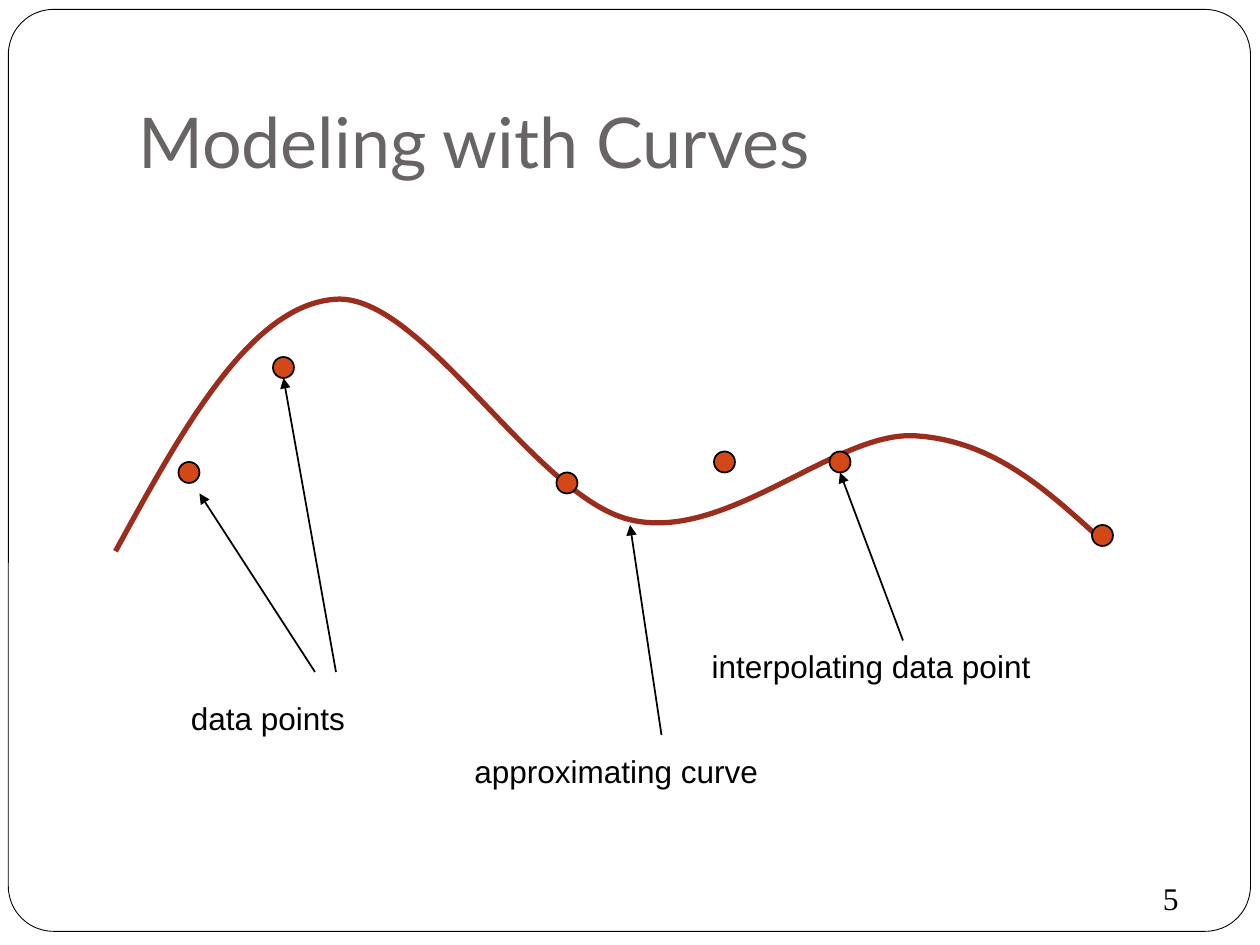
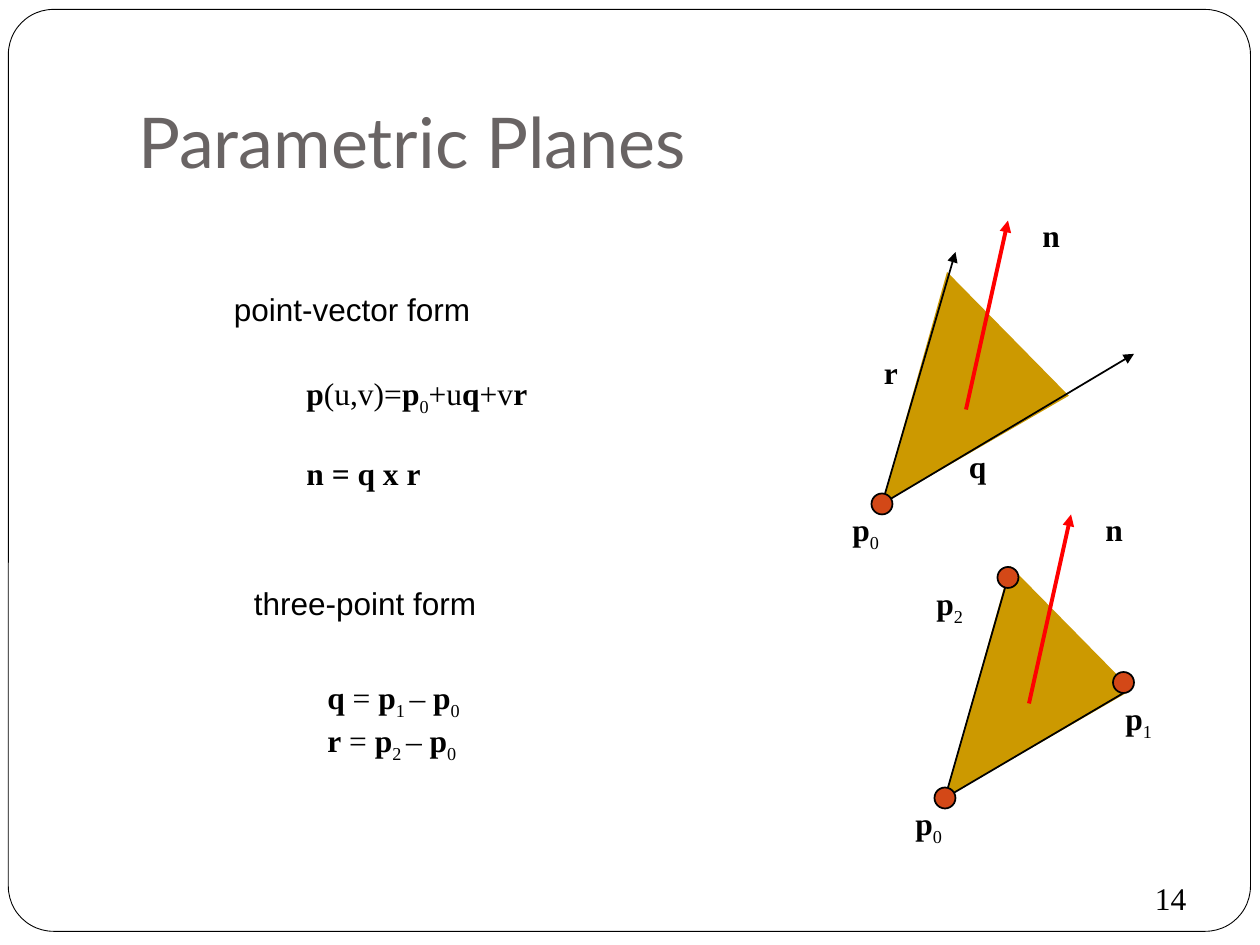
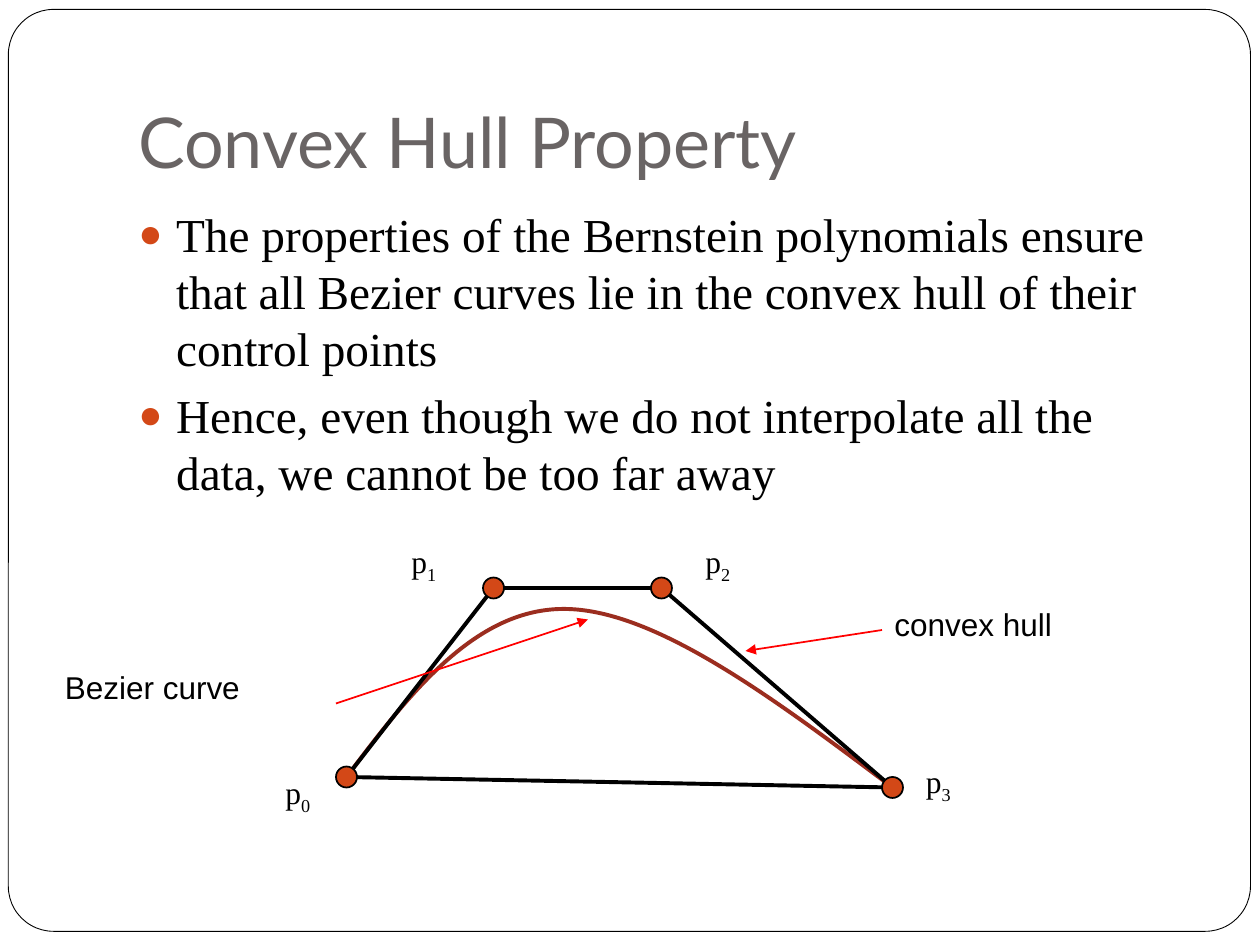
from lxml import etree
from pptx import Presentation
from pptx import util as u
from pptx.dml.color import RGBColor
from pptx.enum import shapes, text
from pptx.oxml import ns

PX = u.Inches(1) // 120
BLACK = RGBColor(0, 0, 0)
WHITE = RGBColor(255, 255, 255)
RED = RGBColor(255, 0, 0)
GREY = RGBColor(0x69, 0x64, 0x64)
ORANGE = RGBColor(0xD3, 0x48, 0x17)
BRICK = RGBColor(0x9B, 0x2D, 0x1F)
GOLD = RGBColor(0xCC, 0x99, 0x00)
SERIF, SANS, TITLE_FONT = "Times New Roman", "Arial", "Lato"
LEFT, CENTER = text.PP_ALIGN.LEFT, text.PP_ALIGN.CENTER
BOLD_MARK, SUBSCRIPT_MARK = "*", "_"


def px(*lengths):
    return [length * PX for length in lengths]


def child(parent, tag, **attributes):
    return etree.SubElement(parent, ns.qn(tag), **attributes)


def add_spans(para, marked, font, size, color):
    for chunk_index, chunk in enumerate(marked.split(BOLD_MARK)):
        for part_index, part in enumerate(chunk.split(SUBSCRIPT_MARK)):
            if not part:
                continue
            span = para.add_run()
            span.text = part
            span.font.name = font
            span.font.size = u.Pt(size)
            span.font.color.rgb = color
            span.font.bold = chunk_index % 2 == 1
            if part_index % 2:
                span.font._element.set("baseline", "-25000")


def add_bullet(para):
    props = para._p.get_or_add_pPr()
    props.set("marL", str(36 * PX))
    props.set("indent", str(-36 * PX))
    color = child(props, "a:buClr")
    child(color, "a:srgbClr", val=str(ORANGE))
    child(props, "a:buSzPct", val="85000")
    child(props, "a:buFont", typeface=SANS)
    child(props, "a:buChar", char="●")


class Painter:
    def __init__(self):
        self.deck = Presentation()
        self.deck.slide_width, self.deck.slide_height = px(1200, 900)
        self.page = None

    def new_page(self, title, number=None):
        self.page = self.deck.slides.add_slide(self.deck.slide_layouts[6])
        frame = self.preset(shapes.MSO_SHAPE.ROUNDED_RECTANGLE, 8, 9, 1183, 878, WHITE, 0.5)
        frame.adjustments[0] = 0.049
        self.text(title, 120, 36, 1020, 150, font=TITLE_FONT, size=40, color=GREY,
                  anchor=text.MSO_ANCHOR.BOTTOM, insets=(12, 6, 12, 12))
        if number:
            self.text(number, 1085, 830, 60, 50, insets=(0, 0, 0, 0),
                      anchor=text.MSO_ANCHOR.MIDDLE, align=CENTER)

    def preset(self, kind, left, top, width, height, fill, weight):
        shape = self.page.shapes.add_shape(kind, *px(left, top, width, height))
        shape.shadow.inherit = False
        shape.fill.solid()
        shape.fill.fore_color.rgb = fill
        shape.line.color.rgb = BLACK
        shape.line.width = u.Pt(weight)
        return shape

    def dots(self, *centres):
        for x, y in centres:
            self.preset(shapes.MSO_SHAPE.OVAL, x - 10, y - 10, 20, 20, ORANGE, 1)

    def line(self, start, end, color=BLACK, weight=1, arrow=False):
        line = self.page.shapes.add_connector(
            shapes.MSO_CONNECTOR.STRAIGHT, *px(*start, *end))
        line.line.color.rgb = color
        line.line.width = u.Pt(weight)
        if arrow:
            child(line.line._ln, "a:tailEnd", type="triangle")
        child(line._element.spPr, "a:effectLst")

    def outline(self, points, close):
        start, *others = [px(*point) for point in points]
        builder = self.page.shapes.build_freeform(*start)
        builder.add_line_segments(others, close=close)
        shape = builder.convert_to_shape()
        shape.shadow.inherit = False
        return shape

    def curve(self, points, weight):
        shape = self.outline(points, close=False)
        shape.fill.background()
        shape.line.color.rgb = BRICK
        shape.line.width = u.Pt(weight)
        segments = list(shape._element.iter(ns.qn("a:lnTo")))
        for first in range(0, len(segments), 3):
            bezier = child(segments[first].getparent(), "a:cubicBezTo")
            for segment in segments[first:first + 3]:
                bezier.append(segment[0])
                segment.getparent().remove(segment)

    def plane(self, x, y, q_end, r_end, arrow):
        triangle = self.outline([(x, y), (x + 178, y - 103), (x + 62, y - 221)], close=True)
        triangle.fill.solid()
        triangle.fill.fore_color.rgb = GOLD
        triangle.line.fill.background()
        for end in (q_end, r_end):
            self.line((x, y), end, arrow=arrow)
        self.text("*p*_0_", x - 40, y, 60, 60)
        self.dots((x, y))
        self.line((x + 80, y - 90), (x + 120, y - 270), RED, 2.25, arrow=True)
        self.text("*n*", x + 130, y - 280, 62, 60, align=CENTER)

    def text(self, content, left, top, width, height, font=SERIF, size=18, color=BLACK,
             anchor=text.MSO_ANCHOR.TOP, insets=(12, 6, 12, 6), align=LEFT,
             gap=0, bullets=False):
        box = self.page.shapes.add_textbox(*px(left, top, width, height))
        frame = box.text_frame
        frame.word_wrap = True
        frame.vertical_anchor = anchor
        (frame.margin_left, frame.margin_top,
         frame.margin_right, frame.margin_bottom) = px(*insets)
        for index, line in enumerate(content.split("\n")):
            para = frame.add_paragraph() if index else frame.paragraphs[0]
            para.alignment = align
            para.space_before = u.Pt(gap if index or bullets else 0)
            if bullets:
                add_bullet(para)
            add_spans(para, line, font, size, color)


def draw_modeling(painter):
    painter.new_page("Modeling with Curves", "5")
    painter.curve([(110, 525), (174, 408), (239, 290), (320, 285), (402, 280),
                   (509, 473), (600, 495), (691, 517), (794, 412), (870, 415),
                   (946, 419), (997, 467), (1050, 515)], 3)
    painter.dots((180, 450), (270, 350), (540, 460), (690, 440), (1050, 510), (800, 440))
    for start, end in (((300, 640), (190, 470)), ((320, 640), (270, 360)),
                       ((630, 700), (600, 500)), ((860, 610), (800, 450))):
        painter.line(start, end, arrow=True)
    for label, left, top, width in (("data points", 170, 660, 220),
                                    ("approximating curve", 440, 710, 385),
                                    ("interpolating data point", 666, 610, 430)):
        painter.text(label, left, top, width, 60, font=SANS)


def draw_planes(painter):
    painter.new_page("Parametric Planes", "14")
    painter.text("point-vector form", 211, 270, 324, 60, font=SANS)
    painter.text("*p*(u,v)=*p*_0_+u*q*+v*r*\n*n = q x r*", 280, 350, 306, 156, gap=21.5)
    painter.plane(840, 480, (1080, 337), (910, 240), arrow=True)
    painter.text("*q*", 900, 420, 62, 60, align=CENTER)
    painter.text("*r*", 830, 330, 42, 60)
    painter.text("three-point form", 230, 550, 307, 60, font=SANS)
    painter.plane(900, 760, (1070, 660), (960, 550), arrow=False)
    painter.dots((1070, 650), (960, 550))
    painter.text("*p*_1_", 1060, 660, 60, 60)
    painter.text("*p*_2_", 880, 550, 60, 60)
    painter.text("*q* = *p*_1 _– *p*_0_\n*r* = *p*_2 _– *p*_0_", 300, 640, 197, 108)


def draw_hull(painter):
    painter.new_page("Convex Hull Property")
    painter.text("The properties of the Bernstein polynomials ensure that all Bezier curves "
                 "lie in the convex hull of their control points\n"
                 "Hence, even though we do not interpolate all the data, "
                 "we cannot be too far away",
                 120, 190, 1020, 600, size=27, gap=5.8, bullets=True)
    painter.curve([(330, 740), (391, 659), (454, 578), (540, 580),
                   (626, 582), (738, 666), (850, 750)], 2.25)
    hull = [(330, 740), (470, 560), (630, 560), (850, 750)]
    for start, end in zip(hull, hull[1:] + hull[:1]):
        painter.line(start, end, weight=2.25)
    painter.dots(*hull)
    labels = [(260, 730), (380, 510), (660, 510), (870, 720)]
    for index, (left, top) in enumerate(labels):
        painter.text(f"p_{index}_", left, top, 58, 60)
    painter.text("convex hull", 840, 570, 224, 60, font=SANS)
    painter.line((840, 600), (710, 620), RED, arrow=True)
    painter.text("Bezier curve", 50, 630, 247, 60, font=SANS)
    painter.line((320, 670), (560, 590), RED, arrow=True)


def main():
    painter = Painter()
    draw_modeling(painter)
    draw_planes(painter)
    draw_hull(painter)
    painter.deck.save("out.pptx")


if __name__ == "__main__":
    main()
